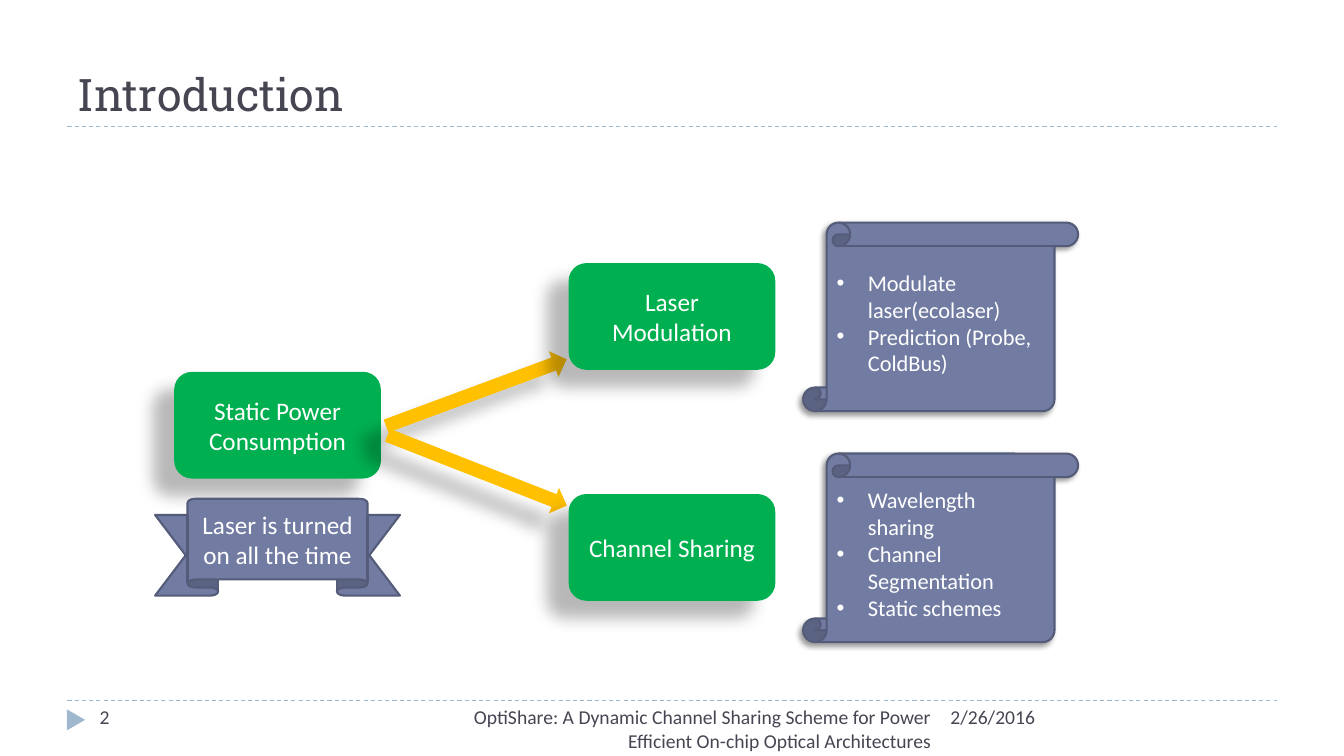
from lxml.etree import SubElement
from pptx import Presentation
from pptx.dml.color import RGBColor
from pptx.enum.dml import MSO_LINE
from pptx.enum.shapes import MSO_CONNECTOR, MSO_SHAPE
from pptx.enum.text import MSO_ANCHOR, MSO_AUTO_SIZE, PP_ALIGN
from pptx.oxml.ns import qn
from pptx.util import Cm, Pt

COLORS = {
    "text": "464653",
    "guide": "9FB8CD",
    "box": "00B050",
    "arrow": "FFC000",
    "note": "727CA3",
    "note_line": "545C79",
    "white": "FFFFFF",
    "shadow": "000000",
}
# Shadows: opacity in percent, blur and distance in points, direction in degrees
DEEP_SHADOW = (28, 11.8, 19.7, 141)
SOFT_SHADOW = (40, 4, 3, 135)

BRANCH_PITCH = 5.82
BRANCHES = [
    ("Laser Modulation",
     ["Modulate laser(ecolaser)", "Prediction (Probe, ColdBus)"]),
    ("Channel Sharing",
     ["Wavelength sharing", "Channel Segmentation", "Static schemes"]),
]
ARROWS = [(9.58, 9.55, 339.7), (9.6, 11.51, 21.4)]


def color(name):
    return RGBColor.from_string(COLORS[name])


def add_span(para, text, size, color_name, font="Calibri"):
    span = para.add_run()
    span.text = text
    span.font.name = font
    span.font.size = Pt(size)
    span.font.color.rgb = color(color_name)


def add_shadow(shape, opacity, blur, distance, direction):
    effects = shape._element.spPr.find(qn("a:effectLst"))
    outer = SubElement(effects, qn("a:outerShdw"), {
        "blurRad": str(Pt(blur)), "dist": str(Pt(distance)),
        "dir": str(direction * 60000), "algn": "ctr", "rotWithShape": "0"})
    tint = SubElement(outer, qn("a:srgbClr"), val=COLORS["shadow"])
    SubElement(tint, qn("a:alpha"), val=str(opacity * 1000))


def add_figure(page, kind, left, top, width, height, fill, line=None, shadow=None):
    shape = page.shapes.add_shape(kind, Cm(left), Cm(top), Cm(width), Cm(height))
    shape.shadow.inherit = False
    shape.fill.solid()
    shape.fill.fore_color.rgb = color(fill)
    if line:
        shape.line.color.rgb = color(line)
        shape.line.width = Pt(1.5)
    else:
        shape.line.fill.background()
    if shadow:
        add_shadow(shape, *shadow)
    return shape


def write_centered(shape, text):
    frame = shape.text_frame
    frame.word_wrap = True
    frame.vertical_anchor = MSO_ANCHOR.MIDDLE
    para = frame.paragraphs[0]
    para.alignment = PP_ALIGN.CENTER
    add_span(para, text, 18, "white")


def write_bullets(shape, items):
    frame = shape.text_frame
    frame.word_wrap = True
    frame.vertical_anchor = MSO_ANCHOR.MIDDLE
    for index, item in enumerate(items):
        para = frame.add_paragraph() if index else frame.paragraphs[0]
        para.alignment = PP_ALIGN.LEFT
        properties = para._p.get_or_add_pPr()
        properties.set("marL", str(Cm(0.79)))
        properties.set("indent", str(-Cm(0.79)))
        SubElement(properties, qn("a:buFont"), typeface="Arial")
        SubElement(properties, qn("a:buChar"), char="•")
        add_span(para, item, 16, "white")


def add_process_box(page, text, left, top):
    box = add_figure(page, MSO_SHAPE.ROUNDED_RECTANGLE, left, top, 5.21, 2.69,
                     "box", shadow=DEEP_SHADOW)
    write_centered(box, text)


def add_guide(page, top):
    guide = page.shapes.add_connector(
        MSO_CONNECTOR.STRAIGHT, Cm(1.7), Cm(top), Cm(32.18), Cm(top))
    guide.line.color.rgb = color("guide")
    guide.line.width = Pt(0.75)
    guide.line.dash_style = MSO_LINE.DASH
    SubElement(guide._element.spPr, qn("a:effectLst"))


def add_footer_text(page, text, left, width, alignment=PP_ALIGN.LEFT):
    box = page.shapes.add_textbox(Cm(left), Cm(17.65), Cm(width), Cm(1.02))
    box.text_frame.word_wrap = True
    para = box.text_frame.paragraphs[0]
    para.alignment = alignment
    add_span(para, text, 14, "text")


def set_title(page, text):
    title = page.shapes.title
    title.left, title.top = Cm(1.7), Cm(0.43)
    title.width, title.height = Cm(30.48), Cm(2.74)
    frame = title.text_frame
    frame.auto_size = MSO_AUTO_SIZE.NONE
    frame.vertical_anchor = MSO_ANCHOR.BOTTOM
    para = frame.paragraphs[0]
    para.alignment = PP_ALIGN.LEFT
    add_span(para, text, 32, "text", "Roboto Slab")


def main():
    deck = Presentation()
    deck.slide_width, deck.slide_height = Cm(33.87), Cm(19.05)
    page = deck.slides.add_slide(deck.slide_layouts[5])

    # Title, guides and footer
    set_title(page, "Introduction")
    for top in (17.65, 3.18):
        add_guide(page, top)
    marker = add_figure(page, MSO_SHAPE.ISOSCELES_TRIANGLE,
                        1.65, 17.91, 0.53, 0.46, "guide")
    marker.rotation = 90
    add_footer_text(page, "2/26/2016", 23.7, 8.48)
    add_footer_text(page, "OptiShare: A Dynamic Channel Sharing Scheme for Power "
                    "Efficient On-chip Optical Architectures",
                    10.74, 12.98, PP_ALIGN.RIGHT)
    add_footer_text(page, "2", 2.26, 7.34)

    # Problem and its ribbon
    add_process_box(page, "Static Power Consumption", 4.39, 9.37)
    ribbon = add_figure(page, MSO_SHAPE.UP_RIBBON, 3.91, 12.57, 6.17, 2.44,
                        "note", "note_line")
    ribbon.adjustments[0] = 0.167
    ribbon.adjustments[1] = 0.735
    write_centered(ribbon, "Laser is turned on all the time")

    # Arrows to the two approaches
    for left, top, angle in ARROWS:
        arrow = add_figure(page, MSO_SHAPE.RIGHT_ARROW, left, top, 4.85, 0.69,
                           "arrow", shadow=DEEP_SHADOW)
        arrow.rotation = angle

    # Approaches with their scrolls
    for index, (name, items) in enumerate(BRANCHES):
        offset = index * BRANCH_PITCH
        add_process_box(page, name, 14.33, 6.63 + offset)
        scroll = add_figure(page, MSO_SHAPE.VERTICAL_SCROLL, 20.24, 5.61 + offset,
                            6.93, 4.75, "note", "note_line", SOFT_SHADOW)
        write_bullets(scroll, items)

    deck.save("out.pptx")


if __name__ == "__main__":
    main()
